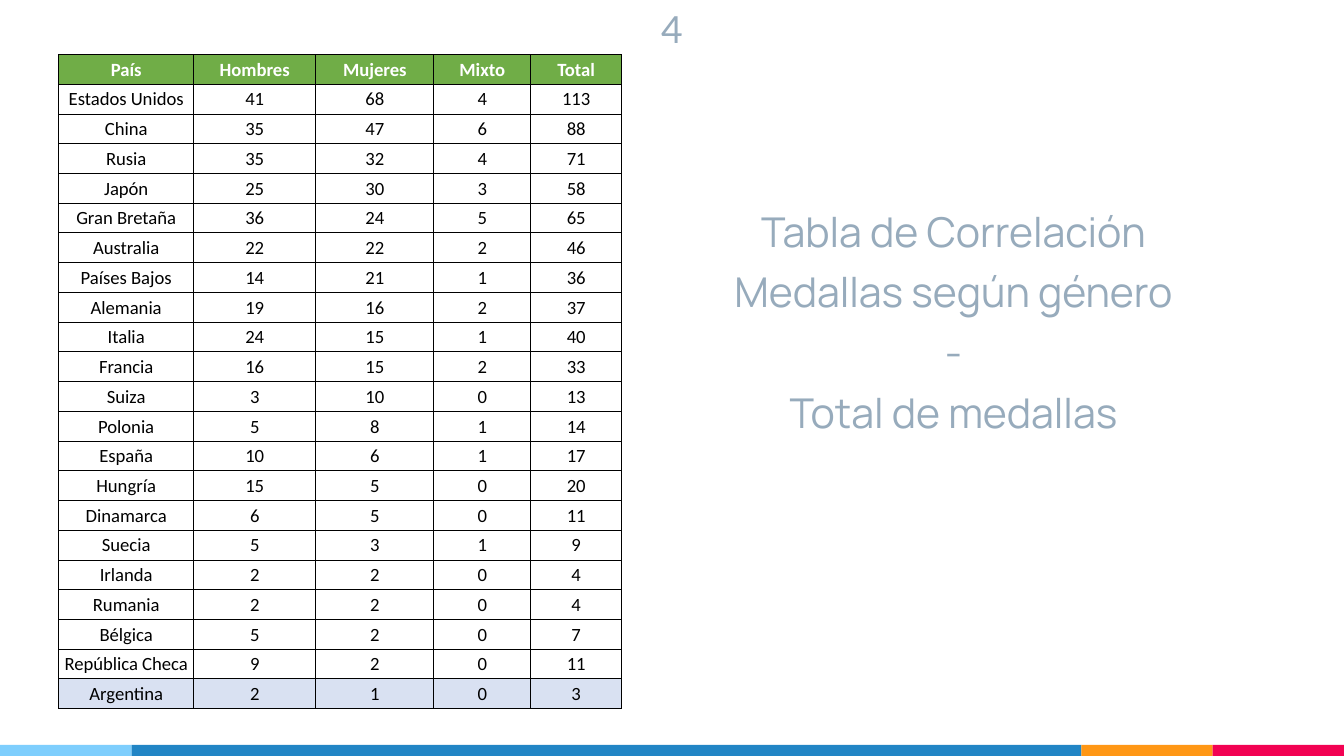
"""Build the slide with the table of medals by gender and country."""
from lxml import etree
from pptx import Presentation
from pptx.dml.color import RGBColor
from pptx.enum.shapes import MSO_SHAPE
from pptx.enum.text import MSO_ANCHOR, MSO_AUTO_SIZE, PP_ALIGN
from pptx.oxml import parse_xml
from pptx.oxml.ns import nsdecls
from pptx.util import Cm, Pt

RECT = MSO_SHAPE.RECTANGLE
TOP, MIDDLE = MSO_ANCHOR.TOP, MSO_ANCHOR.MIDDLE
CENTER = PP_ALIGN.CENTER
NO_AUTOFIT = MSO_AUTO_SIZE.NONE
GRAY = "97ABBC"
HEADER = ("País", "Hombres", "Mujeres", "Mixto", "Total")
MEDALS = [
    ("Estados Unidos", 41, 68, 4, 113),
    ("China", 35, 47, 6, 88),
    ("Rusia", 35, 32, 4, 71),
    ("Japón", 25, 30, 3, 58),
    ("Gran Bretaña", 36, 24, 5, 65),
    ("Australia", 22, 22, 2, 46),
    ("Países Bajos", 14, 21, 1, 36),
    ("Alemania", 19, 16, 2, 37),
    ("Italia", 24, 15, 1, 40),
    ("Francia", 16, 15, 2, 33),
    ("Suiza", 3, 10, 0, 13),
    ("Polonia", 5, 8, 1, 14),
    ("España", 10, 6, 1, 17),
    ("Hungría", 15, 5, 0, 20),
    ("Dinamarca", 6, 5, 0, 11),
    ("Suecia", 5, 3, 1, 9),
    ("Irlanda", 2, 2, 0, 4),
    ("Rumania", 2, 2, 0, 4),
    ("Bélgica", 5, 2, 0, 7),
    ("República Checa", 9, 2, 0, 11),
    ("Argentina", 2, 1, 0, 3),
]


def rgb(value):
    """Turn a hex string into a colour."""
    return RGBColor.from_string(value)


def write(tf, text, font, size, color, bold=False):
    """Fill a text frame with centred paragraphs in one style."""
    tf.text = text
    for i, p in enumerate(tf.paragraphs):
        p.alignment = CENTER
        p.space_before = Pt(6 if i else 0)
        for r in p.runs:
            r.font.name = font
            r.font.size = Pt(size)
            r.font.bold = bold
            r.font.color.rgb = rgb(color)


prs = Presentation()
prs.slide_width, prs.slide_height = Cm(25.4), Cm(14.29)
slide = prs.slides.add_slide(prs.slide_layouts[5])

left = 0
for width, color in ((2.49, "7ECEFD"), (17.95, "2185C5"), (2.48, "FF9715"), (2.48, "F20253")):
    bar = slide.shapes.add_shape(RECT, Cm(left), Cm(14.08), Cm(width), Cm(0.21))
    bar.shadow.inherit = False
    bar.fill.solid()
    bar.fill.fore_color.rgb = rgb(color)
    bar.line.fill.background()
    left += width

title = slide.shapes.title
title.left, title.top, title.width, title.height = Cm(11.53), Cm(1.88), Cm(12.98), Cm(10.54)
number = slide.shapes.add_textbox(0, Cm(-0.13), Cm(25.4), Cm(0.86))
for s, anchor, bottom in ((title, MIDDLE, 2.39), (number, TOP, 0.25)):
    tf = s.text_frame
    tf.word_wrap = True
    tf.auto_size = NO_AUTOFIT
    tf.vertical_anchor = anchor
    tf.margin_left = tf.margin_right = tf.margin_top = Cm(0.25)
    tf.margin_bottom = Cm(bottom)
write(title.text_frame, "Tabla de Correlación\nMedallas según género\n-\nTotal de medallas",
      "Manrope", 22, GRAY)
write(number.text_frame, "4", "Lato", 20, GRAY)

rows = [HEADER] + MEDALS
table = slide.shapes.add_table(len(rows), len(HEADER), Cm(1.11), Cm(1.03), Cm(10.64), Cm(12.37)).table
table.horz_banding = False
for column, width in zip(table.columns, (2.55, 2.31, 2.23, 1.83, 1.72)):
    column.width = Cm(width)

fills = {0: "70AD47", len(rows) - 1: "D9E1F2"}
for i, values in enumerate(rows):
    for j, value in enumerate(values):
        cell = table.cell(i, j)
        cell.vertical_anchor = MIDDLE
        cell.margin_left = cell.margin_right = cell.margin_top = Cm(0.02)
        cell.margin_bottom = 0
        write(cell.text_frame, str(value), "Calibri", 10, "000000" if i else "FFFFFF", i == 0)
        tcPr = cell._tc.get_or_add_tcPr()
        for side in ("lnL", "lnR", "lnT", "lnB"):
            border = parse_xml(f'<a:{side} {nsdecls("a")} w="{Pt(0.5)}"/>')
            fill = etree.SubElement(border, border.tag.replace(side, "solidFill"))
            etree.SubElement(fill, border.tag.replace(side, "srgbClr"), val="000000")
            tcPr.append(border)
        if i in fills:
            cell.fill.solid()
            cell.fill.fore_color.rgb = rgb(fills[i])
        else:
            cell.fill.background()

prs.save("out.pptx")
